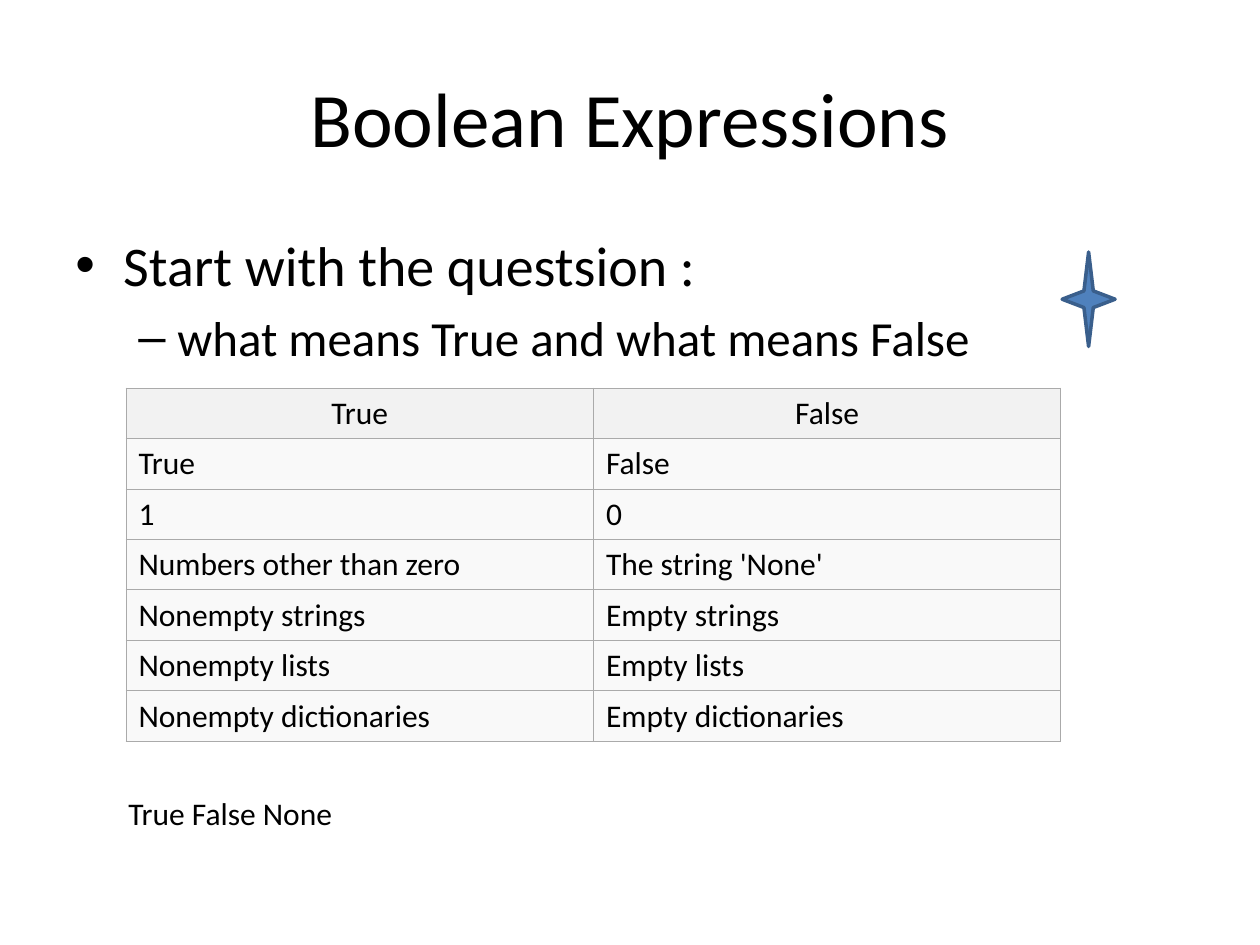
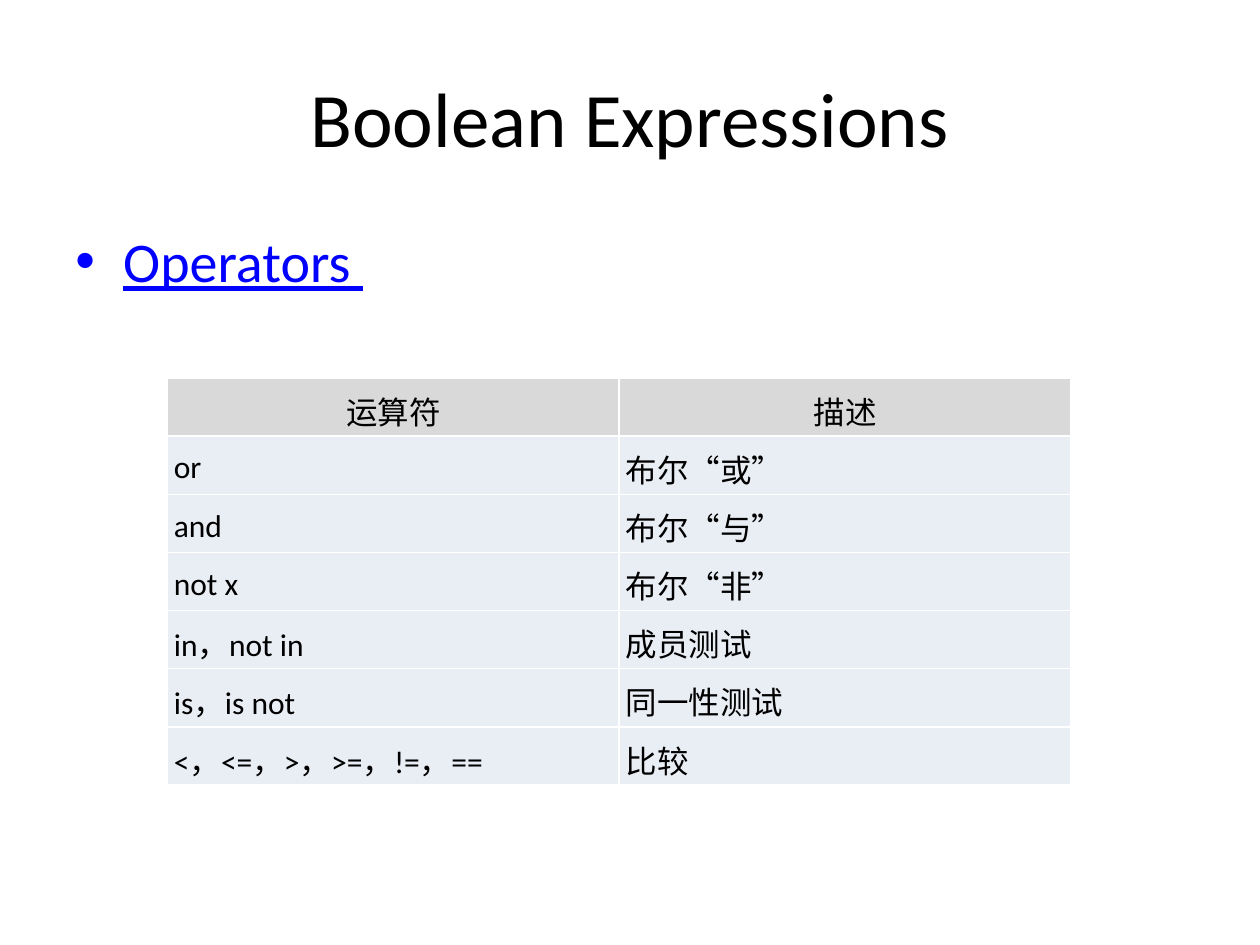
from dataclasses import dataclass
from lxml.etree import SubElement
from pptx import Presentation
from pptx.dml.color import RGBColor
from pptx.enum.shapes import MSO_SHAPE
from pptx.enum.text import MSO_ANCHOR, PP_ALIGN
from pptx.oxml import parse_xml
from pptx.oxml.ns import nsdecls, qn
from pptx.util import Inches, Pt


@dataclass(frozen=True)
class Theme:
    font: str = "Calibri"
    ink: str = "000000"
    link: str = "0000FF"
    star: str = "4F81BD"
    edge: str = "3A5F8C"
    head: int = 44
    levels: tuple = (32, 28)
    small: int = 18


@dataclass(frozen=True)
class Grid:
    head: str
    body: str
    line: str
    weight: float
    pads: tuple
    space: float


THEME = Theme()
TRUTH = Grid("F2F2F2", "F9F9F9", "AAAAAA", 0.6, (0.1, 0.05), 1.0)
SYMBOLS = Grid("D9D9D9", "E9EDF4", "FFFFFF", 1, (0.05, 0.02), 1.15)
BULLETS = (("•", 0.38, 0.38), ("–", 0.81, 0.31))

VALUES = (
    ("True", "False"),
    ("True", "False"),
    ("1", "0"),
    ("Numbers other than zero", "The string 'None'"),
    ("Nonempty strings", "Empty strings"),
    ("Nonempty lists", "Empty lists"),
    ("Nonempty dictionaries", "Empty dictionaries"),
)
SIGNS = (
    ("运算符", "描述"),
    ("or", "布尔“或”"),
    ("and", "布尔“与”"),
    ("not x", "布尔“非”"),
    ("in，not in", "成员测试"),
    ("is，is not", "同一性测试"),
    ("<，<=，>，>=，!=，==", "比较"),
)


def color(code):
    return RGBColor.from_string(code)


def write(para, text, size, ink=THEME.ink, under=None):
    run = para.add_run()
    run.text = text
    run.font.name = THEME.font
    run.font.size = Pt(size)
    run.font.color.rgb = color(ink)
    run.font.underline = under


def start(deck, text):
    slide = deck.slides.add_slide(deck.slide_layouts[5])
    title = slide.shapes.title
    title.left, title.top, title.width, title.height = map(Inches, (0.5, 0.3, 9, 1.25))
    title.text_frame.vertical_anchor = MSO_ANCHOR.MIDDLE
    para = title.text_frame.paragraphs[0]
    para.alignment = PP_ALIGN.CENTER
    write(para, text, THEME.head)
    return slide


def text_box(slide, box):
    frame = slide.shapes.add_textbox(*map(Inches, box)).text_frame
    frame.word_wrap = True
    return frame


def add_points(slide, box, lines, ink=THEME.ink, under=None):
    frame = text_box(slide, box)
    for level, text in enumerate(lines):
        para = frame.add_paragraph() if level else frame.paragraphs[0]
        mark, left, hang = BULLETS[level]
        size = THEME.levels[level]
        para.level = level
        para.space_before = Pt(size * 0.2)
        props = para._p.get_or_add_pPr()
        props.set("marL", str(Inches(left)))
        props.set("indent", str(-Inches(hang)))
        SubElement(props, qn("a:buFont"), typeface="Arial")
        SubElement(props, qn("a:buChar"), char=mark)
        write(para, text, size, ink, under)


def add_edges(cell, grid):
    props = cell._tc.get_or_add_tcPr()
    for spot, side in enumerate("LRTB"):
        props.insert(spot, parse_xml(
            f'<a:ln{side} {nsdecls("a")} w="{Pt(grid.weight)}"><a:solidFill>'
            f'<a:srgbClr val="{grid.line}"/></a:solidFill></a:ln{side}>'))


def add_grid(slide, box, rows, grid):
    shape = slide.shapes.add_table(len(rows), len(rows[0]), *map(Inches, box))
    table = shape.table
    table.first_row = table.horz_banding = False
    for row, texts in enumerate(rows):
        for col, text in enumerate(texts):
            cell = table.cell(row, col)
            cell.fill.solid()
            cell.fill.fore_color.rgb = color(grid.body if row else grid.head)
            cell.vertical_anchor = MSO_ANCHOR.MIDDLE
            cell.margin_left = cell.margin_right = Inches(grid.pads[0])
            cell.margin_top = cell.margin_bottom = Inches(grid.pads[1])
            para = cell.text_frame.paragraphs[0]
            para.alignment = PP_ALIGN.LEFT if row else PP_ALIGN.CENTER
            para.line_spacing = grid.space
            write(para, text, THEME.small)
            add_edges(cell, grid)


def add_star(slide, box):
    star = slide.shapes.add_shape(MSO_SHAPE.STAR_4_POINT, *map(Inches, box))
    star.shadow.inherit = False
    star.fill.solid()
    star.fill.fore_color.rgb = color(THEME.star)
    star.line.color.rgb = color(THEME.edge)
    star.line.width = Pt(2)


def truth_slide(deck):
    slide = start(deck, "Boolean Expressions")
    add_points(slide, (0.5, 1.78, 9, 4.95),
               ("Start with the questsion :", "what means True and what means False"))
    add_grid(slide, (1, 3.08, 7.42, 2.8), VALUES, TRUTH)
    note = text_box(slide, (0.92, 6.25, 2, 0.4))
    write(note.paragraphs[0], "True False None", THEME.small)
    add_star(slide, (8.43, 2, 0.42, 0.75))


def sign_slide(deck):
    slide = start(deck, "Boolean Expressions")
    add_points(slide, (0.5, 1.75, 9, 4.95), ("Operators ",), THEME.link, True)
    add_grid(slide, (1.33, 3, 7.17, 3.23), SIGNS, SYMBOLS)


def main():
    deck = Presentation()
    deck.slide_width, deck.slide_height = Inches(10), Inches(7.5)
    truth_slide(deck)
    sign_slide(deck)
    deck.save("out.pptx")


if __name__ == "__main__":
    main()
